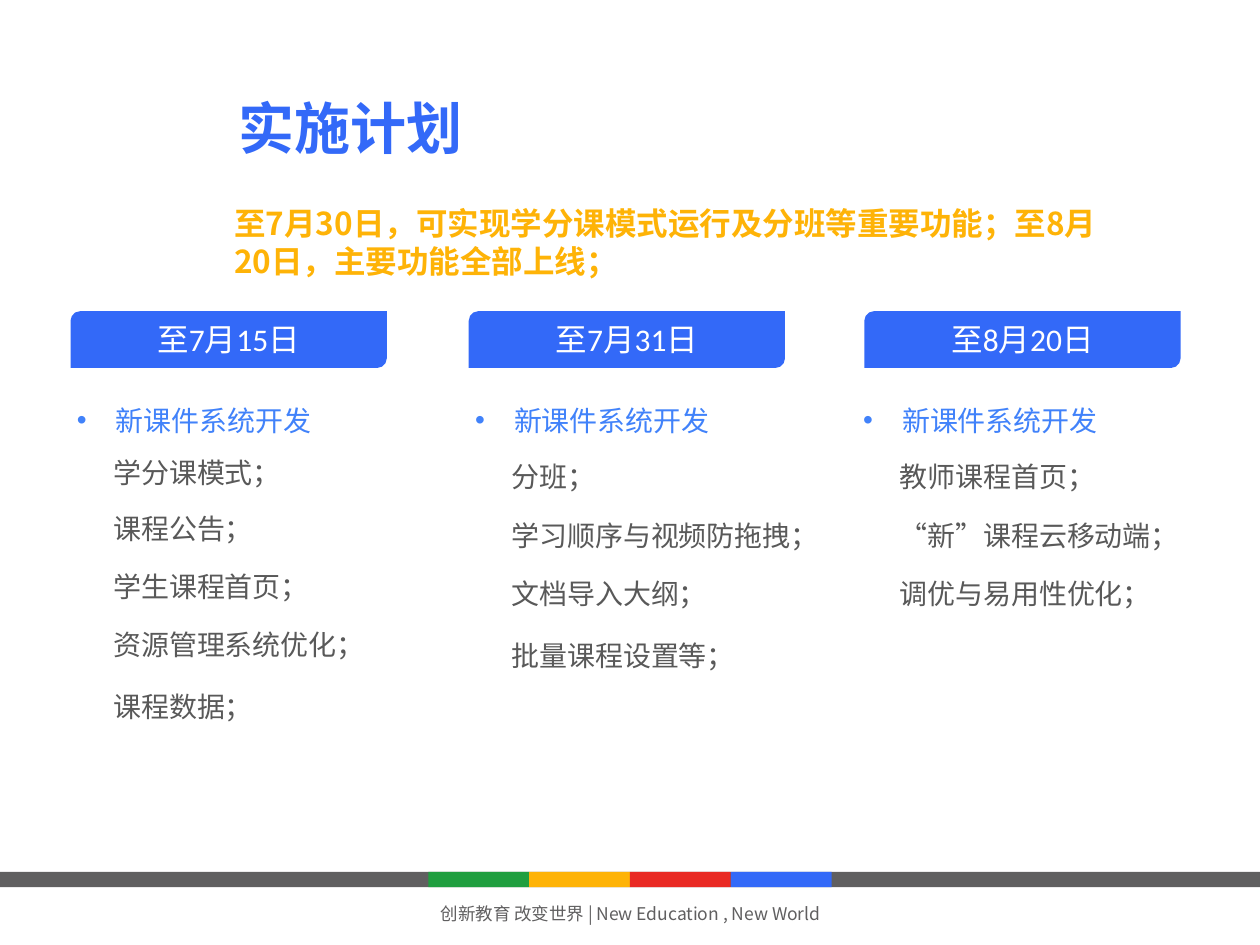
from dataclasses import dataclass

from lxml.etree import SubElement
from pptx import Presentation
from pptx.dml.color import RGBColor
from pptx.enum.shapes import MSO_SHAPE as Shape
from pptx.enum.text import MSO_ANCHOR as Anchor, MSO_AUTO_SIZE as AutoSize, PP_ALIGN as Align
from pptx.oxml.ns import qn
from pptx.util import Inches, Pt

SANS = "Noto Sans CJK SC"
BLUE, LIGHT_BLUE, YELLOW = "3369F8", "4182FA", "FEB307"
RED, GREEN, GRAY, DARK, WHITE = "E92923", "209E3F", "605F60", "595959", "FFFFFF"


@dataclass(frozen=True)
class Style:
    size: int
    color: str
    bold: bool = False
    font: str = SANS
    align: Align = Align.LEFT


@dataclass(frozen=True)
class Stage:
    header_left: float
    text_left: float
    date: str
    tops: tuple[float, ...]
    tasks: tuple[str, ...]


TITLE = Style(32, BLUE, bold=True)
SUMMARY = Style(18, YELLOW, bold=True)
DATE = Style(18, WHITE, font="Calibri", align=Align.CENTER)
HEADING = Style(16, LIGHT_BLUE)
TASK = Style(16, DARK)
FOOTER = Style(10, GRAY, align=Align.CENTER)

FIVE_ROWS = (3.57, 4.01, 4.47, 4.93, 5.42)
FOUR_ROWS = (3.6, 4.07, 4.53, 5.02)
STAGES = (
    Stage(0.56, 0.56, "至7月15日", FIVE_ROWS,
          ("学分课模式；", "课程公告；", "学生课程首页；", "资源管理系统优化；", "课程数据；")),
    Stage(3.72, 3.72, "至7月31日", FOUR_ROWS,
          ("分班；", "学习顺序与视频防拖拽；", "文档导入大纲；", "批量课程设置等；")),
    Stage(6.86, 6.8, "至8月20日", FOUR_ROWS,
          ("教师课程首页；", "“新”课程云移动端；", "调优与易用性优化；")),
)


def rgb(color: str) -> RGBColor:
    return RGBColor.from_string(color)


def write(box, text: str, style: Style, bullet: bool = False, wrap: bool = True) -> None:
    frame = box.text_frame
    settings = {"auto_size": AutoSize.NONE, "word_wrap": wrap, "vertical_anchor": Anchor.TOP}
    settings |= {f"margin_{side}": Inches(0.05) for side in ("left", "top", "right", "bottom")}
    for name, value in settings.items():
        setattr(frame, name, value)
    para = frame.paragraphs[0]
    para.alignment = style.align
    if bullet:
        properties = para._p.get_or_add_pPr()
        properties.set("marL", str(Inches(0.31)))
        properties.set("indent", str(Inches(-0.31)))
        SubElement(properties, qn("a:buFont"), typeface="Arial")
        SubElement(properties, qn("a:buChar"), char="•")
    span = para.add_run()
    span.text = text
    for name, value in {"size": Pt(style.size), "bold": style.bold, "name": style.font}.items():
        setattr(span.font, name, value)
    span.font.color.rgb = rgb(style.color)
    SubElement(span._r.get_or_add_rPr(), qn("a:ea"), typeface=SANS)


def add_text(page, left: float, top: float, width: float, height: float,
             text: str, style: Style, bullet: bool = False, wrap: bool = True) -> None:
    box = page.shapes.add_textbox(Inches(left), Inches(top), Inches(width), Inches(height))
    write(box, text, style, bullet, wrap)


def add_block(page, kind: Shape, left: float, top: float, width: float, height: float, color: str):
    block = page.shapes.add_shape(kind, Inches(left), Inches(top), Inches(width), Inches(height))
    block.shadow.inherit = False
    block.fill.solid()
    block.fill.fore_color.rgb = rgb(color)
    block.line.fill.background()
    return block


def add_footer(page) -> None:
    add_block(page, Shape.RECTANGLE, 0, 6.92, 10, 0.12, GRAY)
    for index, color in enumerate((GREEN, YELLOW, RED, BLUE)):
        add_block(page, Shape.RECTANGLE, 3.4 + 0.8 * index, 6.92, 0.8, 0.12, color)
    add_text(page, 3.32, 7.12, 3.37, 0.29,
             "创新教育 改变世界 | New Education , New World", FOOTER, wrap=False)


def add_title(page) -> None:
    title = page.shapes.title
    place = {"left": 1.84, "top": 0.69, "width": 2.36, "height": 0.64}
    for name, value in place.items():
        setattr(title, name, Inches(value))
    write(title, "实施计划", TITLE)


def add_stage(page, stage: Stage) -> None:
    header = add_block(page, Shape.ROUND_2_DIAG_RECTANGLE,
                       stage.header_left, 2.47, 2.51, 0.45, BLUE)
    write(header, stage.date, DATE)
    add_text(page, stage.text_left, 3.15, 2.21, 0.37, "新课件系统开发", HEADING, bullet=True)
    for top, task in zip(stage.tops, stage.tasks):
        add_text(page, stage.text_left + 0.29, top, 2.58, 0.37, task, TASK)


def main() -> None:
    deck = Presentation()
    deck.slide_width, deck.slide_height = Inches(10), Inches(7.5)
    page = deck.slides.add_slide(deck.slide_layouts[5])
    add_footer(page)
    add_title(page)
    add_text(page, 1.81, 1.57, 7.2, 1.01,
             "至7月30日，可实现学分课模式运行及分班等重要功能；至8月20日，主要功能全部上线；", SUMMARY)
    for stage in STAGES:
        add_stage(page, stage)
    deck.save("out.pptx")


if __name__ == "__main__":
    main()
